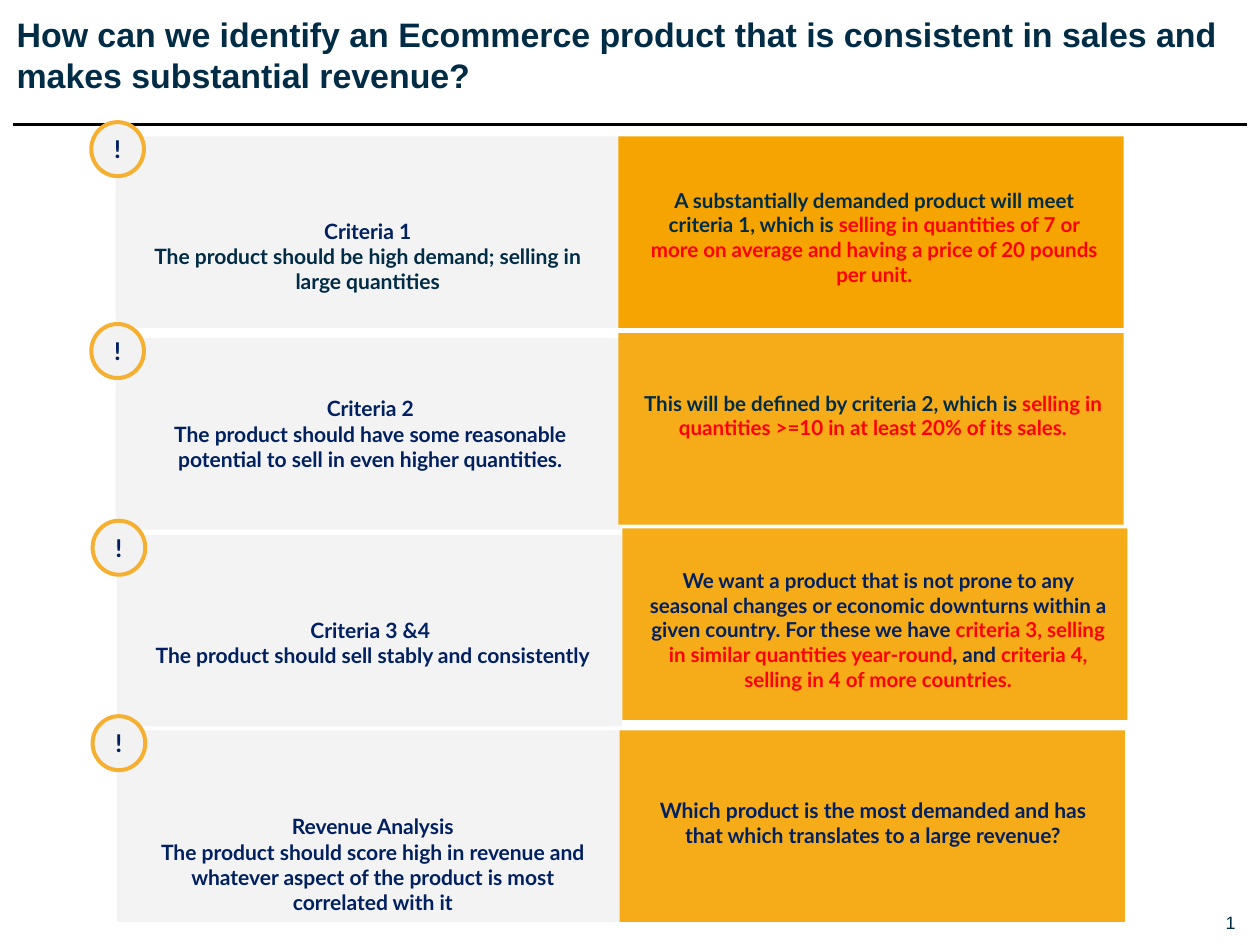
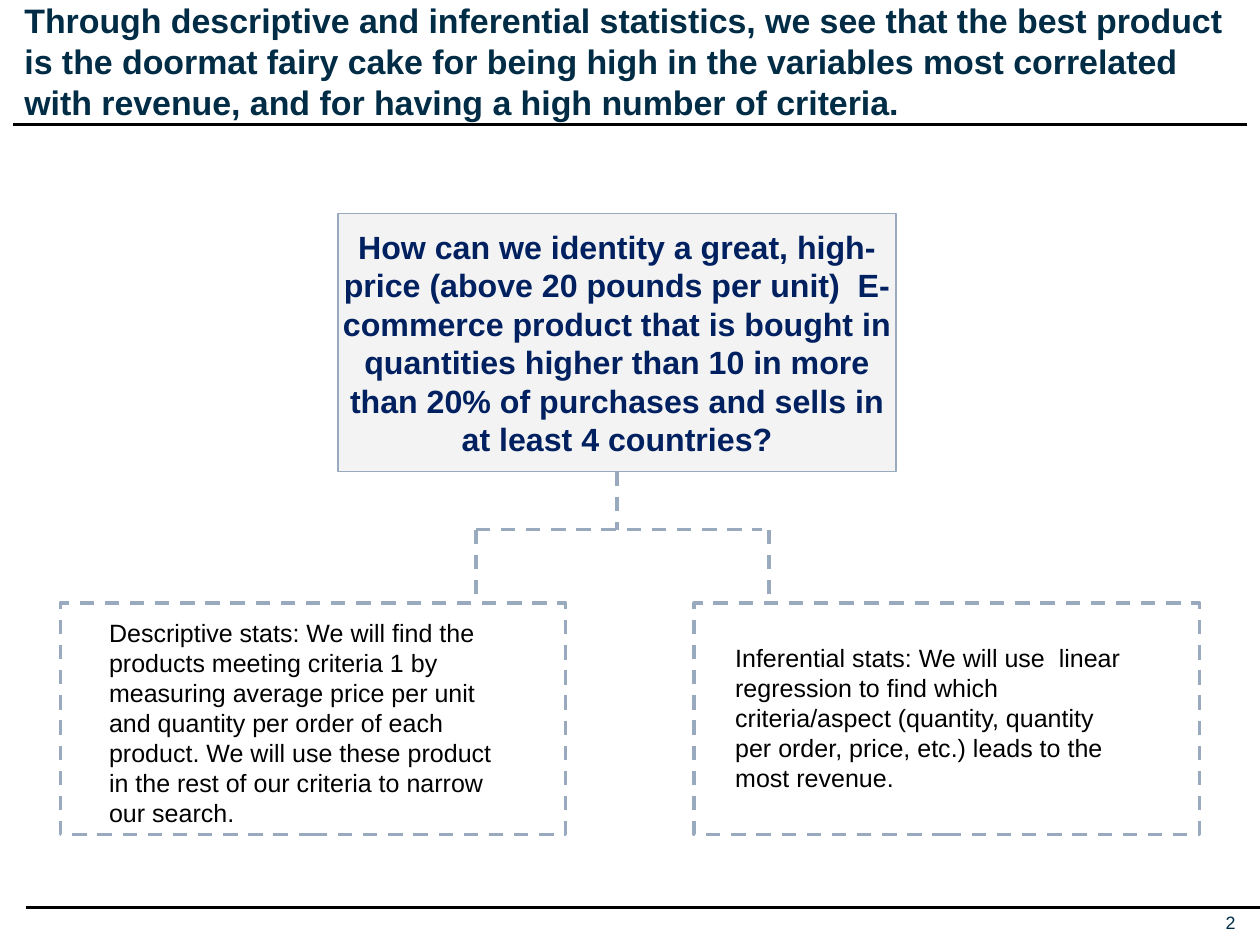
from lxml import etree
from pptx import Presentation
from pptx.dml.color import RGBColor
from pptx.enum.dml import MSO_LINE
from pptx.enum.shapes import MSO_CONNECTOR, MSO_SHAPE
from pptx.enum.text import MSO_ANCHOR, PP_ALIGN
from pptx.oxml.ns import qn
from pptx.util import Inches, Pt

RECTANGLE, CIRCLE = MSO_SHAPE.RECTANGLE, MSO_SHAPE.OVAL
STRAIGHT, DASH = MSO_CONNECTOR.STRAIGHT, MSO_LINE.DASH
LEFT, CENTER, RIGHT = PP_ALIGN.LEFT, PP_ALIGN.CENTER, PP_ALIGN.RIGHT
TOP, MIDDLE = MSO_ANCHOR.TOP, MSO_ANCHOR.MIDDLE

INK, NAVY, RED, BLACK = "002C46", "002060", "FF0000", "000000"
PALE, AMBER, RING, STEEL = "F2F2F2", "F6A401", "F5AF31", "99AABE"
HEADING_FONT, CARD_FONT = "Arial", "Lato"
PADDING = (0.1, 0.05)
BOTTOM_SIDE = 2
CARD_WIDTH, CARD_HEIGHT, TEXT_WIDTH = 3.93, 1.49, 3.78

CRITERIA = [
    {
        "card": (0.9, 1.06), "question_at": (0.97, 1.65),
        "question": [[("Criteria 1", NAVY)],
                     [("The product should be high demand; selling in large quantities", INK)]],
        "answer_card": (4.81, 1.06), "answer_at": (4.91, 1.41), "opacity": 100,
        "answer": [("A substantially demanded product will meet criteria 1, which is ", INK),
                   ("selling in quantities of 7 or more on average and having a price "
                    "of 20 pounds per unit.", RED)],
        "answer_size": 11.5,
    },
    {
        "card": (0.9, 2.63), "question_at": (0.99, 3.03),
        "question": [[("Criteria 2", NAVY)],
                     [("The product should have some reasonable potential to sell in even "
                       "higher quantities.", NAVY)]],
        "answer_card": (4.81, 2.59), "answer_at": (4.9, 2.99), "opacity": 90,
        "answer": [("This will be defined by criteria 2, which is ", INK),
                   ("selling in quantities >=10 in at least 20% of its sales.", RED)],
        "answer_size": 11.5,
    },
    {
        "card": (0.91, 4.16), "question_at": (1.01, 4.75),
        "question": [[("Criteria 3 &4 ", NAVY)],
                     [("The product should sell stably and consistently", NAVY)]],
        "answer_card": (4.84, 4.11), "answer_at": (4.94, 4.37), "opacity": 90,
        "answer": [("We want a product that is not prone to any seasonal changes or economic "
                    "downturns within a given country. For these we have ", NAVY),
                   ("criteria 3, selling in similar quantities year-round", RED),
                   (", and ", NAVY),
                   ("criteria 4, selling in 4 of more countries.", RED)],
        "answer_size": 11.5,
    },
    {
        "card": (0.91, 5.68), "question_at": (1.01, 6.28),
        "question": [[("Revenue Analysis", NAVY)],
                     [("The product should score high in revenue and whatever aspect of the "
                       "product is most correlated with it", NAVY)]],
        "answer_card": (4.82, 5.68), "answer_at": (4.9, 6.15), "opacity": 90,
        "answer": [("Which product is the most demanded and has that which translates to "
                    "a large revenue?", NAVY)],
        "answer_size": 11.8,
    },
]

METHODS = [
    (0.47, (0.75, 4.75, 3.37, 1.75),
     "Descriptive stats: We will find the products meeting criteria 1 by measuring average "
     "price per unit and quantity per order of each product. We will use these product in "
     "the rest of our criteria to narrow our search."),
    (5.4, (5.62, 4.95, 3.26, 1.28),
     "Inferential stats: We will use  linear regression to find which criteria/aspect "
     "(quantity, quantity per order, price, etc.) leads to the most revenue."),
]


def rgb(color):
    """Turn a hex string into a colour."""
    return RGBColor.from_string(color)


def write(frame, paragraphs, size, font=HEADING_FONT, bold=True, align=CENTER,
          anchor=TOP, padding=(0, 0)):
    """Fill a text frame with paragraphs of (text, colour) runs."""
    frame.word_wrap = True
    frame.vertical_anchor = anchor
    frame.margin_left = frame.margin_right = Inches(padding[0])
    frame.margin_top = frame.margin_bottom = Inches(padding[1])
    for index, pieces in enumerate(paragraphs):
        paragraph = frame.add_paragraph() if index else frame.paragraphs[0]
        paragraph.alignment = align
        for words, color in pieces:
            run = paragraph.add_run()
            run.text = words
            run.font.name, run.font.size, run.font.bold = font, Pt(size), bold
            run.font.color.rgb = rgb(color)


def add_text(slide, box, paragraphs, size, **style):
    """Place a text box."""
    frame = slide.shapes.add_textbox(*map(Inches, box)).text_frame
    write(frame, paragraphs, size, **style)


def set_line(line, color, width, dash=None):
    """Style an outline or a connector."""
    line.color.rgb = rgb(color)
    line.width = Pt(width)
    if dash:
        line.dash_style = dash


def add_block(slide, kind, box, fill=None, opacity=100, outline=None):
    """Place a preset shape with an optional fill and (colour, width, dash) outline."""
    block = slide.shapes.add_shape(kind, *map(Inches, box))
    block.shadow.inherit = False
    if fill:
        block.fill.solid()
        block.fill.fore_color.rgb = rgb(fill)
        if opacity < 100:
            tint = block.fill._xPr.find(".//" + qn("a:srgbClr"))
            etree.SubElement(tint, qn("a:alpha"), val=str(opacity * 1000))
    else:
        block.fill.background()
    if outline:
        set_line(block.line, *outline)
    else:
        block.line.fill.background()
    return block


def add_line(slide, start, end, color=BLACK, width=2, dash=None):
    """Draw a straight connector."""
    line = slide.shapes.add_connector(STRAIGHT, *map(Inches, start + end))
    set_line(line.line, color, width, dash)
    etree.SubElement(line._element.spPr, qn("a:effectLst"))
    return line


def add_page(deck, title, title_box):
    """Start a slide with its title, rule and number."""
    slide = deck.slides.add_slide(deck.slide_layouts[6])
    number = str(len(deck.slides))
    add_text(slide, (9.44, 7.09, 0.17, 0.17), [[(number, INK)]], 10,
             bold=False, align=RIGHT, anchor=MIDDLE)
    add_line(slide, (0.1, 0.97), (9.7, 0.97))
    add_text(slide, title_box, [[(title, INK)]], 19, align=LEFT)
    return slide


def add_criterion(slide, row):
    """Draw one question card with its marker and answer card."""
    left, top = row["card"]
    size = (CARD_WIDTH, CARD_HEIGHT)
    style = {"font": CARD_FONT, "padding": PADDING}
    add_block(slide, RECTANGLE, row["card"] + size, PALE, 85)
    add_text(slide, row["question_at"] + (TEXT_WIDTH, 0.7), row["question"], 11.8, **style)
    marker = add_block(slide, CIRCLE, (left - 0.19, top - 0.11, 0.41, 0.42), PALE,
                       outline=(RING, 2.25))
    write(marker.text_frame, [[("!", NAVY)]], 13.7, anchor=MIDDLE, **style)
    add_block(slide, RECTANGLE, row["answer_card"] + size, AMBER, row["opacity"])
    add_text(slide, row["answer_at"] + (TEXT_WIDTH, 0.9), [row["answer"]],
             row["answer_size"], **style)


def add_criteria_page(deck):
    """Build the slide that lists the criteria."""
    slide = add_page(deck, "How can we identify an Ecommerce product that is consistent in "
                     "sales and makes substantial revenue?", (0.13, 0.11, 9.43, 0.64))
    for row in CRITERIA:
        add_criterion(slide, row)


def add_methods_page(deck):
    """Build the slide that splits the question into two methods."""
    slide = add_page(deck, "Through descriptive and inferential statistics, we see that the "
                     "best product is the doormat fairy cake for being high in the variables "
                     "most correlated with revenue, and for having a high number of criteria.",
                     (0.19, 0, 9.43, 0.96))
    add_line(slide, (0.2, 7.06), (9.8, 7.06))
    question = add_block(slide, RECTANGLE, (2.63, 1.66, 4.34, 2.01), PALE, 85,
                         (STEEL, 0.75))
    write(question.text_frame,
          [[("How can we identity a great, high- price (above 20 pounds per unit)  E-commerce "
             "product that is bought in quantities higher than 10 in more than 20% of "
             "purchases and sells in at least 4 countries?", NAVY)]], 18, anchor=MIDDLE)

    dashed = (STEEL, 2, DASH)
    fork, method_top = 4.12, 4.69
    for x in (3.7, 5.98):
        add_line(slide, (x, fork), (x, method_top), *dashed)
    add_line(slide, (3.7, fork), (5.93, fork), *dashed)
    stem = add_line(slide, (4.8, 3.67), (4.8, fork), *dashed)
    stem.begin_connect(question, BOTTOM_SIDE)

    for left, text_box, words in METHODS:
        add_block(slide, RECTANGLE, (left, method_top, CARD_WIDTH, 1.8), outline=dashed)
        add_text(slide, text_box, [[(words, BLACK)]], 14, bold=False, align=LEFT,
                 padding=PADDING)


def main():
    """Build and save the deck."""
    deck = Presentation()
    deck.slide_width, deck.slide_height = Inches(9.8), Inches(7.35)
    add_criteria_page(deck)
    add_methods_page(deck)
    deck.save("out.pptx")


if __name__ == "__main__":
    main()
